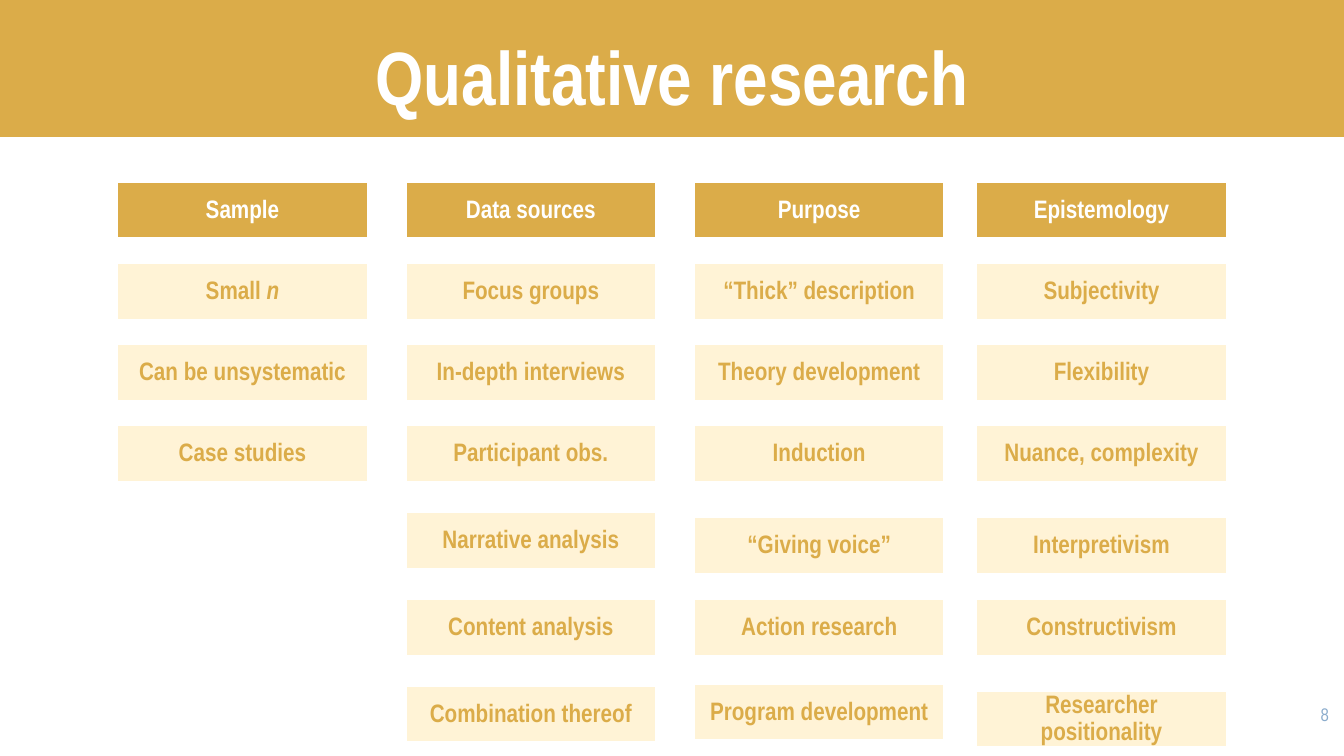
"""Build the slide that sets out qualitative research in four columns of cards."""
import pptx
import pptx.dml.color
import pptx.enum.shapes
import pptx.enum.text
import pptx.util

COLORS = {"gold": "DBAC49", "cream": "FFF3D6", "white": "FFFFFF", "blue": "8BACCC"}
FONT = "Arial Narrow"
ALIGN = pptx.enum.text.PP_ALIGN
ANCHOR = pptx.enum.text.MSO_ANCHOR
CARD_W, CARD_H = 2.49, 0.57
FIRST_TOP, ROW_STEP = 1.8, 0.805
CARD_INSET = pptx.util.Inches(0.12)


def add_box(s, left, top, width, height, fill):
    """Add a flat rectangle, measured in inches."""
    sp = s.shapes.add_shape(
        pptx.enum.shapes.MSO_SHAPE.RECTANGLE,
        *(pptx.util.Inches(v) for v in (left, top, width, height)))
    sp.shadow.inherit = False
    sp.fill.solid()
    sp.fill.fore_color.rgb = pptx.dml.color.RGBColor.from_string(COLORS[fill])
    sp.line.fill.background()
    return sp


def style(p, size, color, align, bold=True):
    """Set the font and alignment of a paragraph."""
    p.alignment = align
    p.font.name = FONT
    p.font.size = pptx.util.Pt(size)
    p.font.bold = bold
    p.font.color.rgb = pptx.dml.color.RGBColor.from_string(COLORS[color])


prs = pptx.Presentation()
prs.slide_width = pptx.util.Inches(13.33)
prs.slide_height = pptx.util.Inches(7.5)
layout = prs.slide_layouts[5]
s = prs.slides.add_slide(layout)

banner = add_box(s, 0, 0, 13.38, 1.36, "gold")
layout.shapes.element.insert(2, banner.element)

title = s.shapes.title
title.left, title.top = 0, pptx.util.Inches(-0.11)
title.width, title.height = prs.slide_width, pptx.util.Inches(1.36)
tf = title.text_frame
tf.text = "Qualitative research"
tf.auto_size = pptx.enum.text.MSO_AUTO_SIZE.NONE
tf.vertical_anchor = ANCHOR.BOTTOM
style(tf.paragraphs[0], 54, "white", ALIGN.CENTER)

columns = [
    (1.16, [], ["Sample", "Small ", "Can be unsystematic", "Case studies"]),
    (4.02, [5.08, 5.94, 6.8],
     ["Data sources", "Focus groups", "In-depth interviews", "Participant obs.",
      "Narrative analysis", "Content analysis", "Combination thereof"]),
    (6.88, [5.13, 5.94, 6.78],
     ["Purpose", "“Thick” description", "Theory development", "Induction",
      "“Giving voice”", "Action research", "Program development"]),
    (9.68, [5.13, 5.94, 6.85],
     ["Epistemology", "Subjectivity", "Flexibility", "Nuance, complexity",
      "Interpretivism", "Constructivism", "Researcher positionality"]),
]
upper_tops = [FIRST_TOP + row * ROW_STEP for row in range(4)]

for left, lower_tops, labels in columns:
    for row, (top, label) in enumerate(zip(upper_tops + lower_tops, labels)):
        fill, color = ("cream", "gold") if row else ("gold", "white")
        card = add_box(s, left, top, CARD_W, CARD_H, fill)
        card.line.color.rgb = pptx.dml.color.RGBColor.from_string(COLORS["white"])
        card.line.width = pptx.util.Pt(2)
        tf = card.text_frame
        tf.word_wrap = True
        tf.vertical_anchor = ANCHOR.MIDDLE
        tf.margin_left = tf.margin_right = CARD_INSET
        tf.margin_top = tf.margin_bottom = CARD_INSET
        p = tf.paragraphs[0]
        p.line_spacing = 0.9
        p.add_run().text = label
        if label == "Small ":
            r = p.add_run()
            r.text = "n"
            r.font.italic = True
        style(p, 18, color, ALIGN.CENTER)

number = s.shapes.add_textbox(
    *(pptx.util.Inches(v) for v in (12.48, 6.93, 0.8, 0.57)))
tf = number.text_frame
tf.word_wrap = True
tf.text = "8"
style(tf.paragraphs[0], 13, "blue", ALIGN.RIGHT, bold=False)

prs.save("out.pptx")
